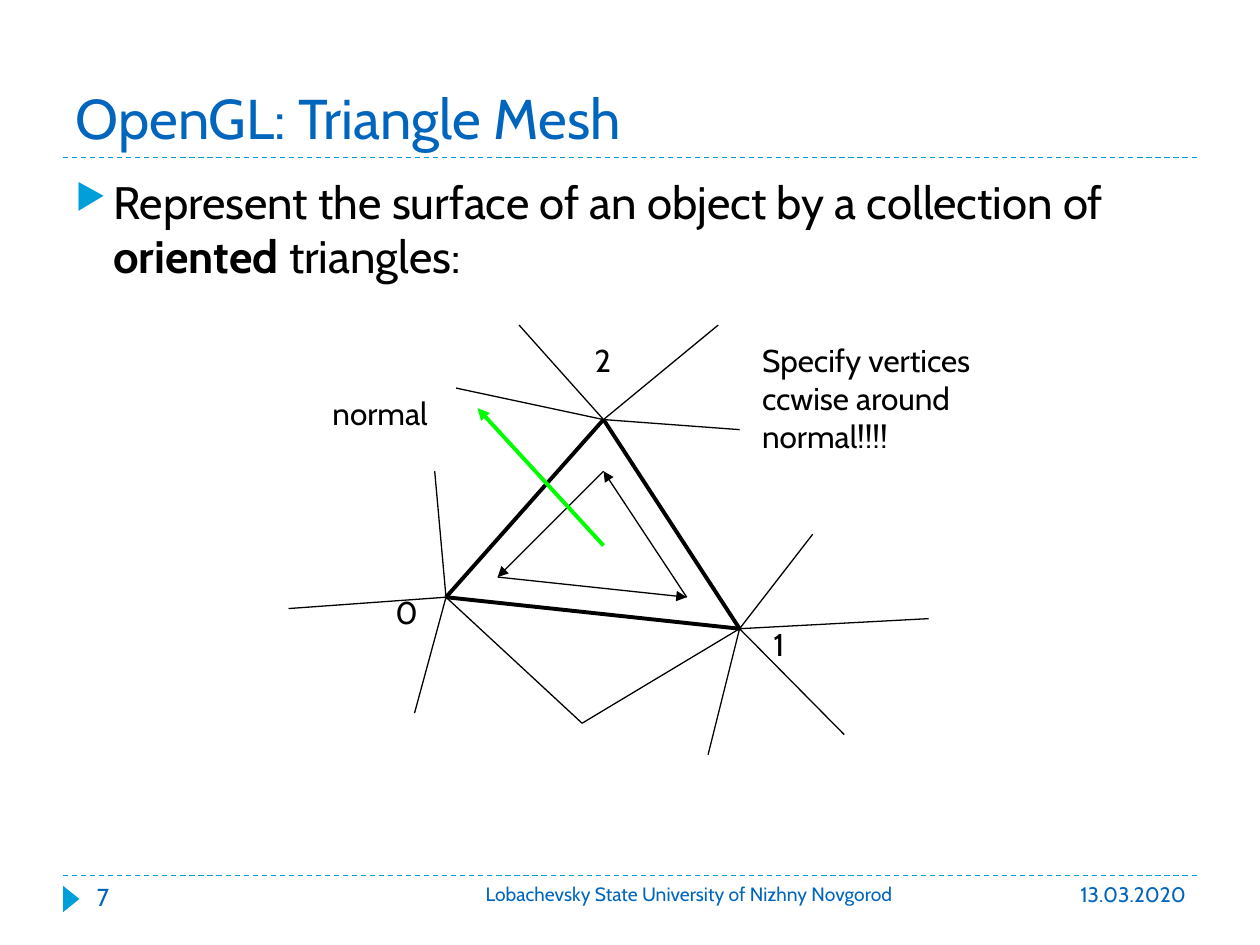
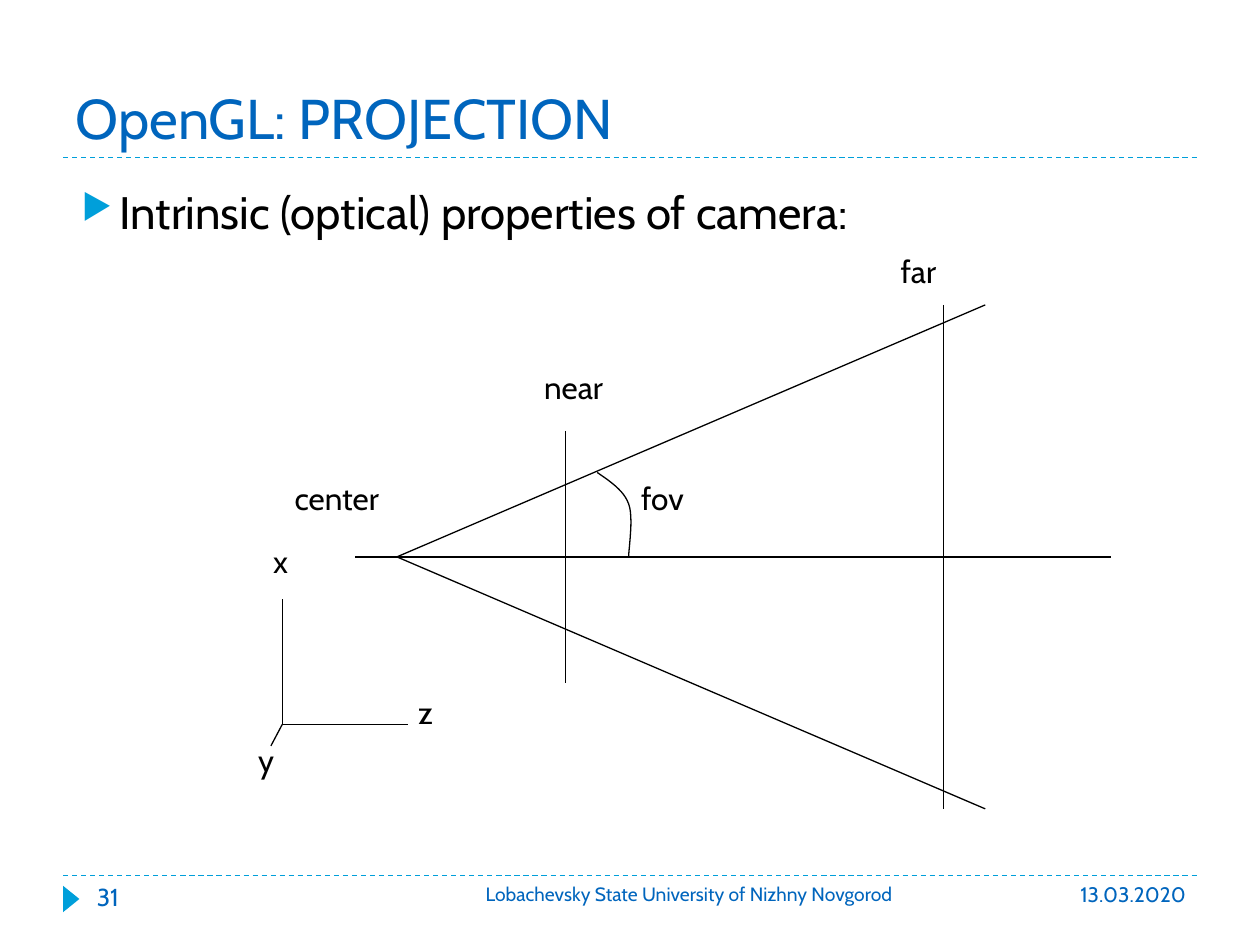
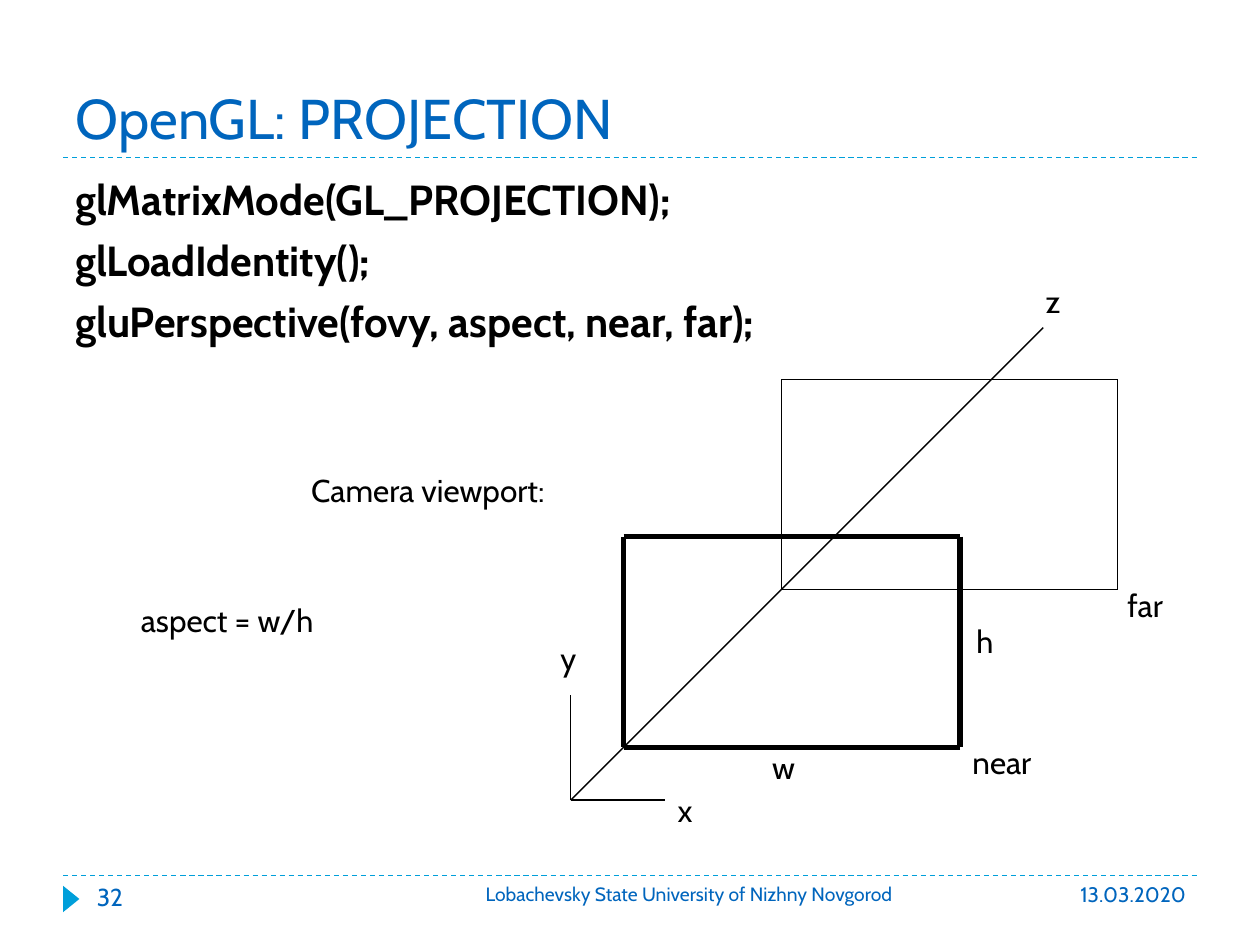
from dataclasses import dataclass
from itertools import pairwise

from lxml.etree import SubElement
from pptx import Presentation
from pptx.dml.color import RGBColor
from pptx.enum.dml import MSO_LINE
from pptx.enum.shapes import MSO_CONNECTOR, MSO_SHAPE
from pptx.enum.text import MSO_ANCHOR, MSO_AUTO_SIZE, PP_ALIGN
from pptx.oxml.ns import qn
from pptx.util import Inches, Pt


@dataclass(frozen=True)
class Theme:
    font: str = "Cabin"
    heading: RGBColor = RGBColor(0x00, 0x65, 0xBD)
    accent: RGBColor = RGBColor(0x00, 0x9F, 0xDA)
    ink: RGBColor = RGBColor(0, 0, 0)
    normal: RGBColor = RGBColor(0, 0xFF, 0)
    title_size: int = 32
    body_size: int = 26
    code_size: int = 24
    label_size: int = 18
    number_size: int = 14
    date_size: int = 12
    footer_size: int = 11
    thin: float = 0.75
    triangle_edge: float = 2.25
    near_edge: float = 3
    indent: float = 0.3
    bullet_percent: int = 76


@dataclass(frozen=True)
class Box:
    left: float
    top: float
    width: float
    height: float

    def point(self, spot):
        return self.left + spot[0], self.top + spot[1]

    def inner(self, left, top, width, height):
        return Box(*self.point((left, top)), width, height)

    def lengths(self):
        return [Inches(v) for v in (self.left, self.top, self.width, self.height)]


THEME = Theme()
TITLE = Box(0.5, 0.17, 9, 1.08)
BODY = Box(0.5, 1.33, 9, 5.37)
CAMERA_BODY = Box(0.55, 1.41, 8.5, 0.75)
FOOTER = Box(0.5, 6.95, 9, 0.4)
MESH = Box(2.29, 2.58, 5.08, 3.41)
FRUSTUM = Box(2.82, 2.42, 6, 4)
CAMERA_AXES = Box(1.95, 4.25, 1.62, 2.08)
PLANES = Box(4.35, 2.19, 5.1, 4.54)
VIEWPORT_NOTES = Box(1.02, 3.69, 4.16, 1.53)
UNIVERSITY = "Lobachevsky State University of Nizhny Novgorod"
DATE = "13.03.2020"
LABEL_HEIGHT = 0.5
AXIS_LABEL_WIDTH = 0.37


def add_run(paragraph, text, size, color, bold=False):
    run = paragraph.add_run()
    run.text = text
    run.font.name = THEME.font
    run.font.size = Pt(size)
    run.font.color.rgb = color
    run.font.bold = bold


def add_text(slide, box, lines, size, color=THEME.ink, align=PP_ALIGN.LEFT):
    frame = slide.shapes.add_textbox(*box.lengths()).text_frame
    frame.word_wrap = True
    for index, runs in enumerate(lines):
        paragraph = frame.add_paragraph() if index else frame.paragraphs[0]
        paragraph.alignment = align
        for text, bold in runs:
            add_run(paragraph, text, size, color, bold)
    return frame


def add_labels(slide, box, labels):
    for text, left, top, width in labels:
        lines = text.split("\n")
        place = box.inner(left, top, width, LABEL_HEIGHT)
        add_text(slide, place, [[(line, False)] for line in lines], THEME.label_size)


def add_line(slide, box, start, end, color=THEME.ink, width=THEME.thin, dashed=False, arrow=False):
    ends = [Inches(v) for v in (*box.point(start), *box.point(end))]
    connector = slide.shapes.add_connector(MSO_CONNECTOR.STRAIGHT, *ends)
    connector.line.color.rgb = color
    connector.line.width = Pt(width)
    if dashed:
        connector.line.dash_style = MSO_LINE.DASH
    properties = connector._element.spPr
    if arrow:
        SubElement(properties.find(qn("a:ln")), qn("a:tailEnd"), type="triangle")
    SubElement(properties, qn("a:effectLst"))


def add_loop(slide, box, corners, **style):
    for start, end in pairwise([*corners, corners[0]]):
        add_line(slide, box, start, end, **style)


def bezier(controls, steps=12):
    for step in range(1, steps + 1):
        t = step / steps
        weights = ((1 - t) ** 3, 3 * t * (1 - t) ** 2, 3 * t * t * (1 - t), t ** 3)
        yield tuple(sum(w * p[axis] for w, p in zip(weights, controls)) for axis in (0, 1))


def add_curve(slide, box, start, segments):
    spots = [start]
    for segment in segments:
        spots.extend(bezier([spots[-1], *segment]))
    first, *rest = [tuple(Inches(v) for v in box.point(spot)) for spot in spots]
    builder = slide.shapes.build_freeform(*first)
    builder.add_line_segments(rest, close=False)
    curve = builder.convert_to_shape()
    curve.shadow.inherit = False
    curve.fill.background()
    curve.line.color.rgb = THEME.ink
    curve.line.width = Pt(THEME.thin)


def add_title(slide, box, text):
    title = slide.shapes.title
    title.left, title.top, title.width, title.height = box.lengths()
    frame = title.text_frame
    frame.auto_size = MSO_AUTO_SIZE.NONE
    frame.vertical_anchor = MSO_ANCHOR.BOTTOM
    frame.paragraphs[0].alignment = PP_ALIGN.LEFT
    add_run(frame.paragraphs[0], text, THEME.title_size, THEME.heading)
    add_line(slide, box, (0, box.height), (box.width, box.height), THEME.accent, dashed=True)


def add_footer(slide, box, number):
    add_line(slide, box, (0, 0), (box.width, 0), THEME.accent, dashed=True)
    place = box.inner(-0.04, 0.12, 0.21, 0.13)
    marker = slide.shapes.add_shape(MSO_SHAPE.ISOSCELES_TRIANGLE, *place.lengths())
    marker.rotation = 90
    marker.shadow.inherit = False
    marker.fill.solid()
    marker.fill.fore_color.rgb = THEME.accent
    marker.line.fill.background()
    for text, left, width, size, align in (
        (DATE, 7.94, 1.07, THEME.date_size, PP_ALIGN.RIGHT),
        (str(number), 0.17, 2.17, THEME.number_size, PP_ALIGN.LEFT),
        (UNIVERSITY, 2.94, 4.06, THEME.footer_size, PP_ALIGN.CENTER),
    ):
        place = box.inner(left, 0, width, box.height)
        add_text(slide, place, [[(text, False)]], size, THEME.heading, align)


def add_bullet(properties):
    color = SubElement(properties, qn("a:buClr"))
    SubElement(color, qn("a:srgbClr"), val=str(THEME.accent))
    SubElement(properties, qn("a:buSzPct"), val=str(THEME.bullet_percent * 1000))
    SubElement(properties, qn("a:buChar"), char="▶")


def add_body(slide, box, lines, size, bulleted=False):
    for paragraph in add_text(slide, box, lines, size).paragraphs:
        paragraph.space_before = Pt(6)
        properties = paragraph._p.get_or_add_pPr()
        properties.set("marL", str(Inches(THEME.indent)))
        properties.set("indent", str(-Inches(THEME.indent)))
        if bulleted:
            add_bullet(properties)


def draw_mesh(slide, box):
    vertex_0, vertex_1, vertex_2 = (1.25, 2.16), (3.58, 2.41), (2.5, 0.75)
    shared_neighbour = (2.33, 3.16)
    neighbours = {
        vertex_0: [(1.16, 1.16), (0, 2.25), (1, 3.08), shared_neighbour],
        vertex_1: [(4.16, 1.66), (5.08, 2.33), (4.41, 3.25), (3.33, 3.41), shared_neighbour],
        vertex_2: [(1.33, 0.5), (1.83, 0), (3.41, 0), (3.58, 0.83)],
    }
    winding = [(1.66, 2), (3.16, 2.16), (2.5, 1.16)]
    normal_foot, normal_tip = (2.5, 1.75), (1.5, 0.66)

    add_loop(slide, box, [vertex_0, vertex_1, vertex_2], width=THEME.triangle_edge)
    add_loop(slide, box, winding, arrow=True)
    add_line(slide, box, normal_foot, normal_tip, THEME.normal, THEME.triangle_edge, arrow=True)
    for vertex, ends in neighbours.items():
        for end in ends:
            add_line(slide, box, vertex, end)
    add_labels(slide, box, [
        ("Specify vertices\nccwise around\nnormal!!!!", 3.66, 0.08, 2.48),
        ("0", 0.75, 2.08, 0.38),
        ("1", 3.75, 2.33, 0.38),
        ("2", 2.33, 0.08, 0.38),
        ("normal", 0.25, 0.5, 1.22),
    ])


def draw_frustum(slide, box):
    axis_y = box.height / 2
    eye = (0.33, axis_y)
    ray_end_x = 5
    half_heights = {1.67: 1, 4.67: 2}
    fov_start = (1.92, 1.33)
    fov_segments = [
        [(2.02, 1.4), (2.13, 1.47), (2.17, 1.58)],
        [(2.21, 1.69), (2.17, 1.93), (2.17, axis_y)],
    ]

    for ray_end_y in (0, box.height):
        add_line(slide, box, eye, (ray_end_x, ray_end_y))
    add_line(slide, box, (0, axis_y), (box.width, axis_y))
    for plane_x, half in half_heights.items():
        add_line(slide, box, (plane_x, axis_y - half), (plane_x, axis_y + half))
    add_curve(slide, box, fov_start, fov_segments)
    add_labels(slide, box, [
        ("center", -0.58, 1.33, 1.12),
        ("near", 1.4, 0.45, 0.86),
        ("far", 4.23, -0.47, 0.6),
        ("fov", 2.17, 1.33, 0.65),
    ])


def draw_axes(slide, box, origin, axes):
    for name, end, label_left, label_top in axes:
        add_line(slide, box, origin, end)
        add_labels(slide, box, [(name, label_left, label_top, AXIS_LABEL_WIDTH)])


def draw_planes(slide, box):
    origin_x, origin_y = 0.18, 4.16
    plane_width, plane_height = 2.67, 1.67
    near_depth, far_depth, axis_depth = 0.42, 1.67, 3.75

    def along_z(depth):
        return origin_x + depth, origin_y - depth

    for depth, edge in ((near_depth, THEME.near_edge), (far_depth, THEME.thin)):
        left, bottom = along_z(depth)
        right, top = left + plane_width, bottom - plane_height
        corners = [(left, top), (right, top), (right, bottom), (left, bottom)]
        add_loop(slide, box, corners, width=edge)
    draw_axes(slide, box, (origin_x, origin_y), [
        ("x", (origin_x + 0.75, origin_y), 0.93, 4.04),
        ("y", (origin_x, origin_y - 0.83), 0, 2.83),
        ("z", along_z(axis_depth), 3.85, 0),
    ])
    add_labels(slide, box, [
        ("near", 3.27, 3.66, 0.86),
        ("far", 4.5, 2.41, 0.6),
        ("h", 3.3, 2.7, 0.39),
        ("w", 1.68, 3.7, 0.45),
    ])


def new_slide(deck, title, number):
    slide = deck.slides.add_slide(deck.slide_layouts.get_by_name("Title Only"))
    add_title(slide, TITLE, title)
    add_footer(slide, FOOTER, number)
    return slide


def mesh_slide(deck):
    slide = new_slide(deck, "OpenGL: Triangle Mesh", 7)
    statement = [
        ("Represent the surface of an object by a collection of ", False),
        ("oriented", True),
        (" triangles:", False),
    ]
    add_body(slide, BODY, [statement], THEME.body_size, bulleted=True)
    draw_mesh(slide, MESH)


def camera_slide(deck):
    slide = new_slide(deck, "OpenGL: PROJECTION", 31)
    statement = [("Intrinsic (optical) properties of camera:", False)]
    add_body(slide, CAMERA_BODY, [statement], THEME.body_size, bulleted=True)
    draw_frustum(slide, FRUSTUM)
    draw_axes(slide, CAMERA_AXES, (0.29, 1.5), [
        ("x", (0.29, 0.5), 0.12, 0),
        ("y", (0.2, 1.67), 0, 1.58),
        ("z", (1.29, 1.5), 1.27, 1.2),
    ])


def viewport_slide(deck):
    slide = new_slide(deck, "OpenGL: PROJECTION", 32)
    calls = (
        "glMatrixMode(GL_PROJECTION);",
        "glLoadIdentity();",
        "gluPerspective(fovy, aspect, near, far);",
    )
    add_body(slide, BODY, [[(call, True)] for call in calls], THEME.code_size)
    draw_planes(slide, PLANES)
    add_labels(slide, VIEWPORT_NOTES, [
        ("Camera viewport:", 1.35, 0, 2.81),
        ("aspect = w/h", 0, 1.03, 2.16),
    ])


def main():
    deck = Presentation()
    deck.slide_width, deck.slide_height = Inches(10), Inches(7.5)
    for build_slide in (mesh_slide, camera_slide, viewport_slide):
        build_slide(deck)
    deck.save("out.pptx")


if __name__ == "__main__":
    main()
